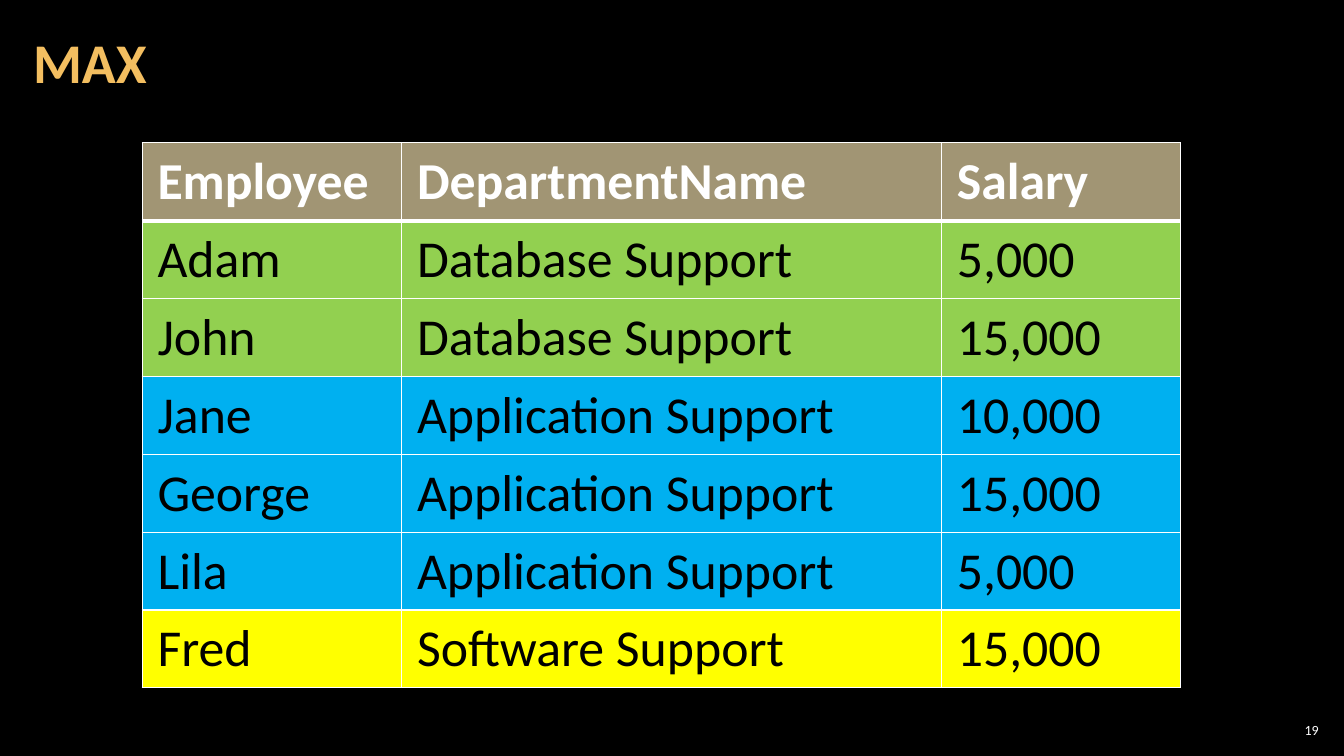
from pptx import Presentation
from pptx.dml.color import RGBColor
from pptx.enum import text
from pptx.oxml import parse_xml
from pptx.oxml import ns
from pptx.util import Pt

COLORS = {
    "background": "000000",
    "title": "F3BE60",
    "light": "FFFFFF",
    "dark": "000000",
    "header": "A19574",
    "Database Support": "92D050",
    "Application Support": "00B0F0",
    "Software Support": "FFFF00",
}
FONT = "Calibri"
HEADINGS = ("Employee", "DepartmentName", "Salary")
EMPLOYEES = [
    ("Adam", "Database Support", "5,000"),
    ("John", "Database Support", "15,000"),
    ("Jane", "Application Support", "10,000"),
    ("George", "Application Support", "15,000"),
    ("Lila", "Application Support", "5,000"),
    ("Fred", "Software Support", "15,000"),
]
COLUMN_SHARES = (0.25, 0.52, 0.23)


def color(name):
    return RGBColor.from_string(COLORS[name])


def set_font(para, size, color_name, bold=False):
    para.font.name = FONT
    para.font.size = Pt(size)
    para.font.bold = bold
    para.font.color.rgb = color(color_name)


def set_margins(target, side, end):
    target.margin_left = target.margin_right = Pt(side)
    target.margin_top = target.margin_bottom = Pt(end)


def add_label(page, box, words, size, color_name, side, bold=False):
    frame = page.shapes.add_textbox(*map(Pt, box)).text_frame
    frame.word_wrap = True
    frame.vertical_anchor = text.MSO_ANCHOR.MIDDLE
    set_margins(frame, side, 3)
    para = frame.paragraphs[0]
    para.text = words
    set_font(para, size, color_name, bold)
    return para


def add_title(page, box, words):
    para = add_label(page, box, words, 40, "title", 8.64, bold=True)
    para.line_spacing = 0.9


def add_page_number(page, box, number):
    para = add_label(page, box, number, 10, "light", 3)
    para.alignment = text.PP_ALIGN.RIGHT


def set_borders(cell, widths):
    """Draw the cell's lines; widths maps L, R, T and B to points."""
    properties = cell._tc.get_or_add_tcPr()
    for position, (side, width) in enumerate(widths.items()):
        line = parse_xml(
            f'<a:ln{side} {ns.nsdecls("a")} w="{Pt(width)}"><a:solidFill>'
            f'<a:srgbClr val="{COLORS["light"]}"/></a:solidFill></a:ln{side}>'
        )
        properties.insert(position, line)


def add_salary_table(page, box):
    left, top, width, height = box
    rows = [HEADINGS] + EMPLOYEES
    table = page.shapes.add_table(
        len(rows), len(HEADINGS), Pt(left), Pt(top), Pt(width), Pt(height)
    ).table
    for column, share in zip(table.columns, COLUMN_SHARES):
        column.width = Pt(width * share)

    for r, values in enumerate(rows):
        table.rows[r].height = Pt(height / len(rows))
        is_header = r == 0
        fill_name = "header" if is_header else values[1]
        # The rule under the header is heavier than the grid
        widths = {"L": 1, "R": 1, "T": 3 if r == 1 else 1, "B": 3 if is_header else 1}
        for c, value in enumerate(values):
            cell = table.cell(r, c)
            set_margins(cell, 11, 5.5)
            cell.fill.solid()
            cell.fill.fore_color.rgb = color(fill_name)
            set_borders(cell, widths)
            para = cell.text_frame.paragraphs[0]
            para.text = value
            set_font(para, 37, "light" if is_header else "dark", is_header)


def build_max_slide(deck):
    page = deck.slides.add_slide(deck.slide_layouts[6])
    page.background.fill.solid()
    page.background.fill.fore_color.rgb = color("background")

    # Page number, title and employee table
    add_page_number(page, (911, 514, 34, 15), "19")
    add_title(page, (15, 3, 754, 87), "MAX")
    add_salary_table(page, (101.5, 102, 741.6, 389.5))


def main():
    deck = Presentation()
    deck.slide_width, deck.slide_height = Pt(960), Pt(540)
    build_max_slide(deck)
    deck.save("out.pptx")


if __name__ == "__main__":
    main()
